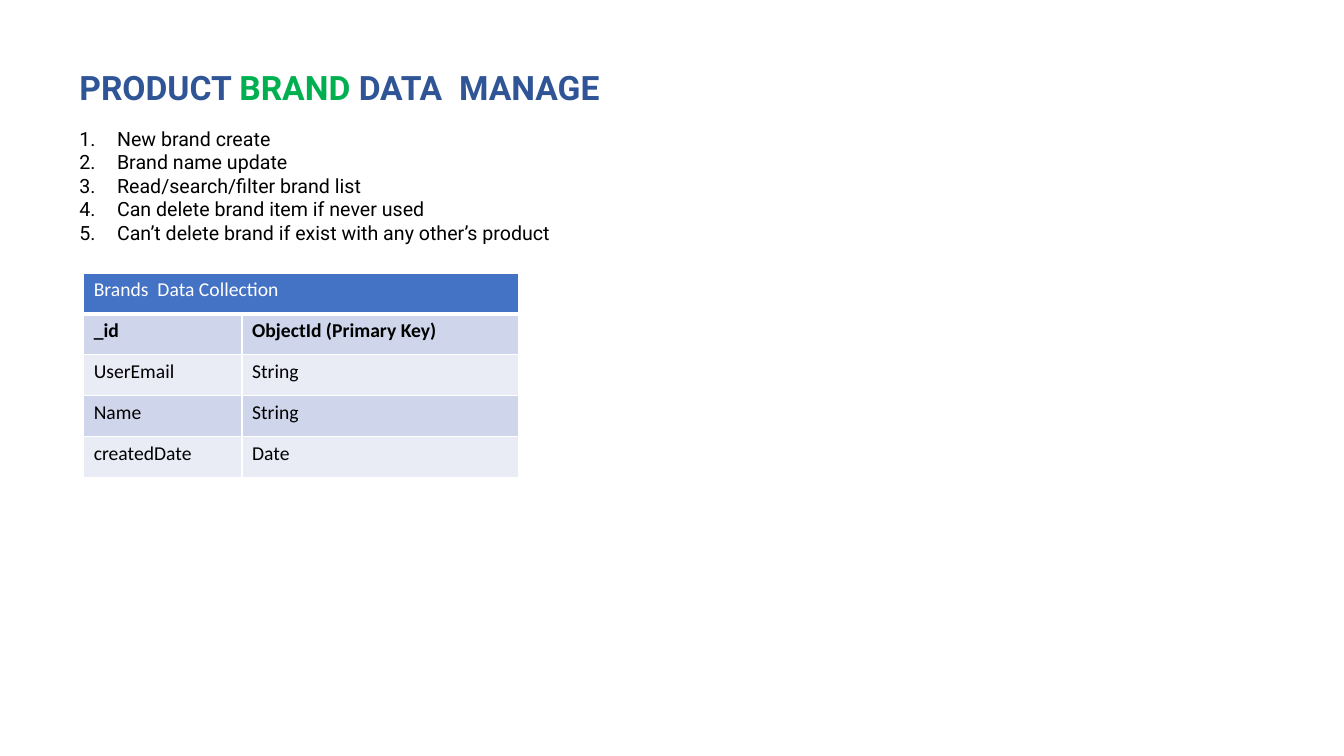
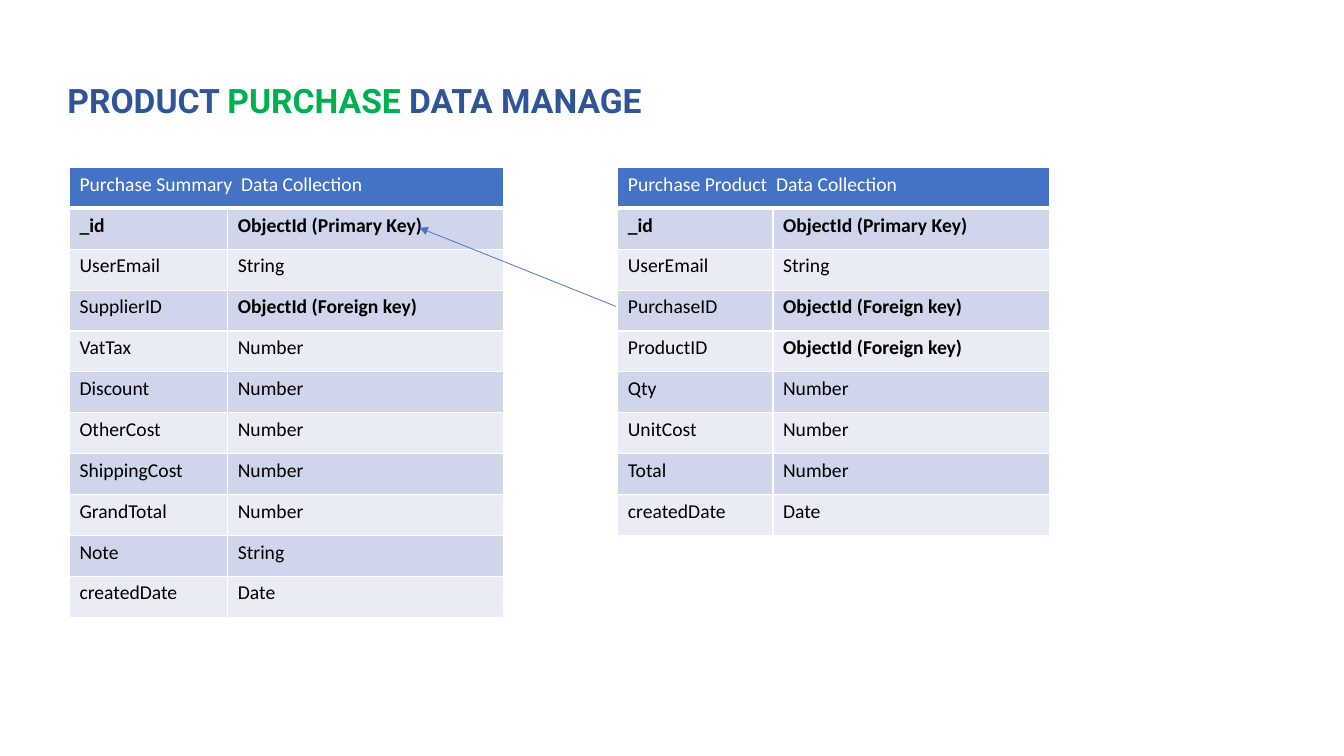
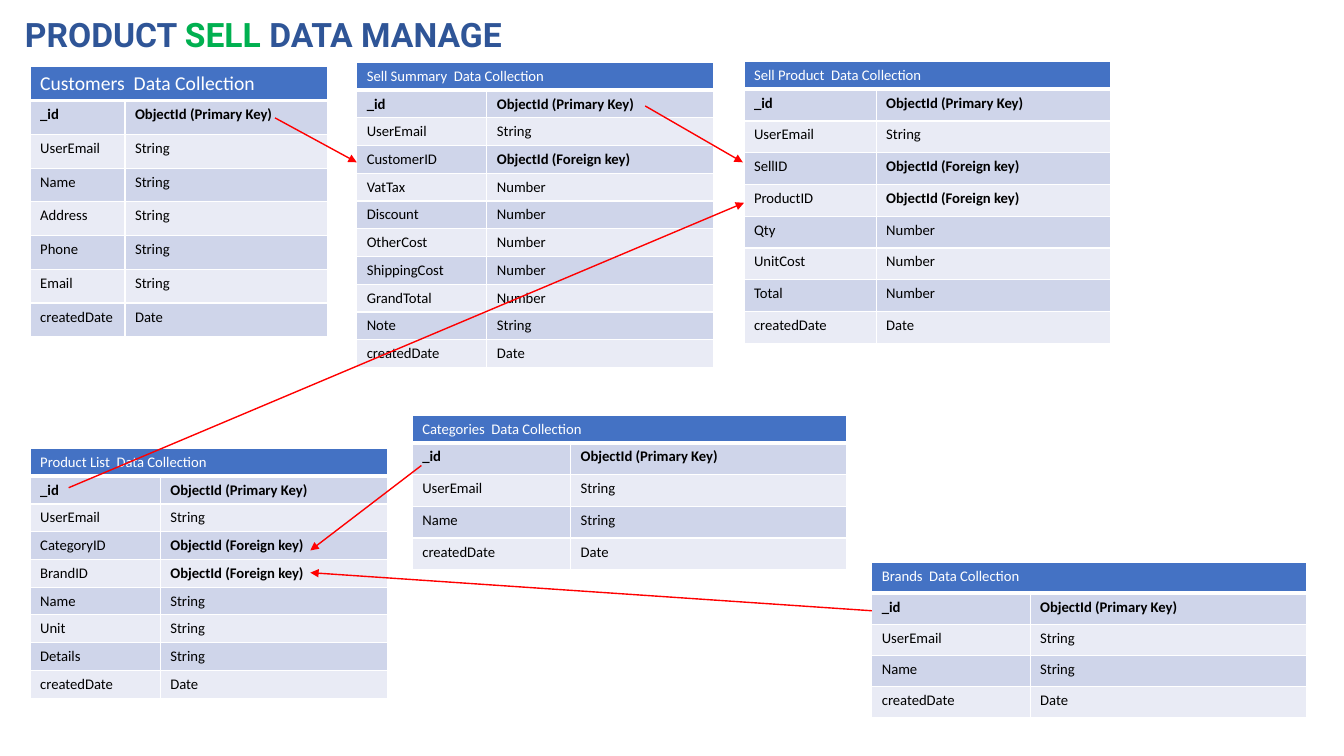
import pptx
import pptx.dml.color
import pptx.enum.shapes
import pptx.enum.text
import pptx.oxml
import pptx.oxml.ns
import pptx.util
from lxml import etree

Cm = pptx.util.Cm
Pt = pptx.util.Pt
qn = pptx.oxml.ns.qn

NAVY, GREEN, BLUE, RED = "2F5597", "00B050", "4472C4", "FF0000"
WHITE, BLACK = "FFFFFF", "000000"
BANDS = ("CFD5EA", "E9EBF5")

KEY = "_id ObjectId (Primary Key)"
LINK = "ObjectId (Foreign key)"
USER = "UserEmail String"
DATE = "createdDate Date"
NAMED = [KEY, USER, "Name String", DATE]
COSTS = ["VatTax Number", "Discount Number", "OtherCost Number", "ShippingCost Number",
         "GrandTotal Number", "Note String", DATE]
ITEMS = [f"ProductID {LINK}", "Qty Number", "UnitCost Number", "Total Number", DATE]


def color(text):
    return pptx.dml.color.RGBColor.from_string(text)


class Deck:
    """Holds the style of the deck and the current slide."""

    def __init__(self):
        self.show = pptx.Presentation()
        self.show.slide_width, self.show.slide_height = Cm(33.87), Cm(19.05)

    def page(self):
        self.slide = self.show.slides.add_slide(self.show.slide_layouts[6])

    def style(self, para, size, face, tint=None, bold=False):
        font = para.font
        font.size, font.name, font.bold = Pt(size), face, bold
        if tint:
            font.color.rgb = color(tint)

    def box(self, left, top, width, height):
        frame = self.slide.shapes.add_textbox(Cm(left), Cm(top), Cm(width), Cm(height)).text_frame
        frame.word_wrap = False
        frame.auto_size = pptx.enum.text.MSO_AUTO_SIZE.SHAPE_TO_FIT_TEXT
        return frame

    def title(self, left, top, width, topic, rest="DATA MANAGE"):
        para = self.box(left, top, width, 1.27).paragraphs[0]
        self.style(para, 24, "Roboto", bold=True)
        for text, tint in (("PRODUCT ", NAVY), (topic + " ", GREEN), (rest, NAVY)):
            run = para.add_run()
            run.text = text
            run.font.color.rgb = color(tint)

    def steps(self, left, top, width, height, lines):
        frame = self.box(left, top, width, height)
        for index, line in enumerate(lines):
            para = frame.add_paragraph() if index else frame.paragraphs[0]
            para.text = line
            self.style(para, 14, "Roboto", BLACK)
            props = para._p.get_or_add_pPr()
            props.set("marL", str(Cm(0.95)))
            props.set("indent", str(-Cm(0.95)))
            mark = etree.Element(qn("a:buAutoNum"), type="arabicPeriod")
            props.insert(0, mark)

    def cell(self, cell, text, size, tint, fill, bold=False, above=1, below=1):
        para = cell.text_frame.paragraphs[0]
        para.text = text
        self.style(para, size, "Calibri", tint, bold)
        cell.fill.solid()
        cell.fill.fore_color.rgb = color(fill)
        props = cell._tc.get_or_add_tcPr()
        for spot, (side, width) in enumerate(zip("LRTB", (1, 1, above, below))):
            edge = etree.Element(qn(f"a:ln{side}"), w=str(Pt(width)))
            solid = etree.SubElement(edge, qn("a:solidFill"))
            etree.SubElement(solid, qn("a:srgbClr"), val=WHITE)
            props.insert(spot, edge)

    def table(self, left, top, cols, name, rows, row=1.03, head=None, size=14, big=None):
        head = head or row
        table = self.slide.shapes.add_table(
            len(rows) + 1, 2, Cm(left), Cm(top), Cm(sum(cols)), Cm(head + row * len(rows))).table
        table.first_row = table.horz_banding = False
        for column, width in zip(table.columns, cols):
            column.width = Cm(width)
        for line in table.rows:
            line.height = Cm(row)
        table.rows[0].height = Cm(head)
        for spot, text in enumerate((f"{name}  Data Collection", "")):
            self.cell(table.cell(0, spot), text, big or size, WHITE, BLUE, below=3)
        table.cell(0, 0).merge(table.cell(0, 1))
        for index, line in enumerate(rows, 1):
            field, kind = line.split(" ", 1)
            for spot, text in enumerate((field, kind)):
                bold = text == "_id" or text.startswith("ObjectId")
                self.cell(table.cell(index, spot), text, size, BLACK, BANDS[(index - 1) % 2],
                          bold, above=3 if index == 1 else 1)

    def arrow(self, start, end, tint=RED, width=1):
        kind = pptx.enum.shapes.MSO_CONNECTOR.STRAIGHT
        line = self.slide.shapes.add_connector(kind, *map(Cm, start + end))
        line.line.color.rgb = color(tint)
        line.line.width = Pt(width)
        etree.SubElement(line.line._get_or_add_ln(), qn("a:tailEnd"), type="triangle")
        etree.SubElement(line._element.spPr, qn("a:effectLst"))


def brand(deck):
    deck.page()
    deck.title(1.75, 1.55, 14.12, "BRAND", "DATA  MANAGE")
    deck.table(2.11, 6.88, (3.99, 6.96), "Brands", NAMED)
    deck.steps(1.75, 3.07, 12.67, 3.25, [
        "New brand create",
        "Brand name update",
        "Read/search/filter brand list",
        "Can delete brand item if never used",
        "Can’t delete brand if exist with any other’s product",
    ])


def purchase(deck):
    deck.page()
    deck.title(1.45, 1.88, 15.47, "PURCHASE")
    deck.table(1.75, 4.22, (3.99, 6.96), "Purchase Summary",
               [KEY, USER, f"SupplierID {LINK}"] + COSTS)
    deck.table(15.57, 4.22, (3.91, 6.96), "Purchase Product",
               [KEY, USER, f"PurchaseID {LINK}"] + ITEMS)
    deck.arrow((15.52, 7.72), (10.57, 5.74), BLUE, 0.5)


def sell(deck):
    deck.page()
    deck.table(0.76, 1.68, (2.39, 5.11), "Customers",
               [KEY, USER, "Name String", "Address String", "Phone String", "Email String", DATE],
               row=0.85, size=10.5, big=14)
    deck.title(0.38, 0.23, 13, "SELL")
    deck.table(8.99, 1.57, (3.28, 5.72), "Sell Summary",
               [KEY, USER, f"CustomerID {LINK}"] + COSTS, row=0.7, size=10.5)
    deck.table(18.75, 1.55, (3.33, 5.92), "Sell Product",
               [KEY, USER, f"SellID {LINK}"] + ITEMS, row=0.8, head=0.7, size=10.5)
    deck.table(0.76, 11.3, (3.28, 5.72), "Product List",
               [KEY, USER, f"CategoryID {LINK}", f"BrandID {LINK}", "Name String",
                "Unit String", "Details String", DATE], row=0.69, size=10.5)
    deck.table(10.39, 10.46, (3.99, 6.96), "Categories", NAMED, row=0.8, head=0.7, size=10.5)
    deck.table(21.97, 14.17, (3.99, 6.96), "Brands", NAMED, row=0.78, size=10.5)
    for start, end in (
        ((6.93, 2.97), (8.99, 4.09)),
        ((16.26, 2.67), (18.72, 4.09)),
        ((1.73, 12.29), (18.75, 5.11)),
        ((21.97, 15.39), (7.82, 14.43)),
        ((10.62, 11.73), (7.82, 13.87)),
    ):
        deck.arrow(start, end)


def main():
    deck = Deck()
    for build in (brand, purchase, sell):
        build(deck)
    deck.show.save("out.pptx")


if __name__ == "__main__":
    main()
